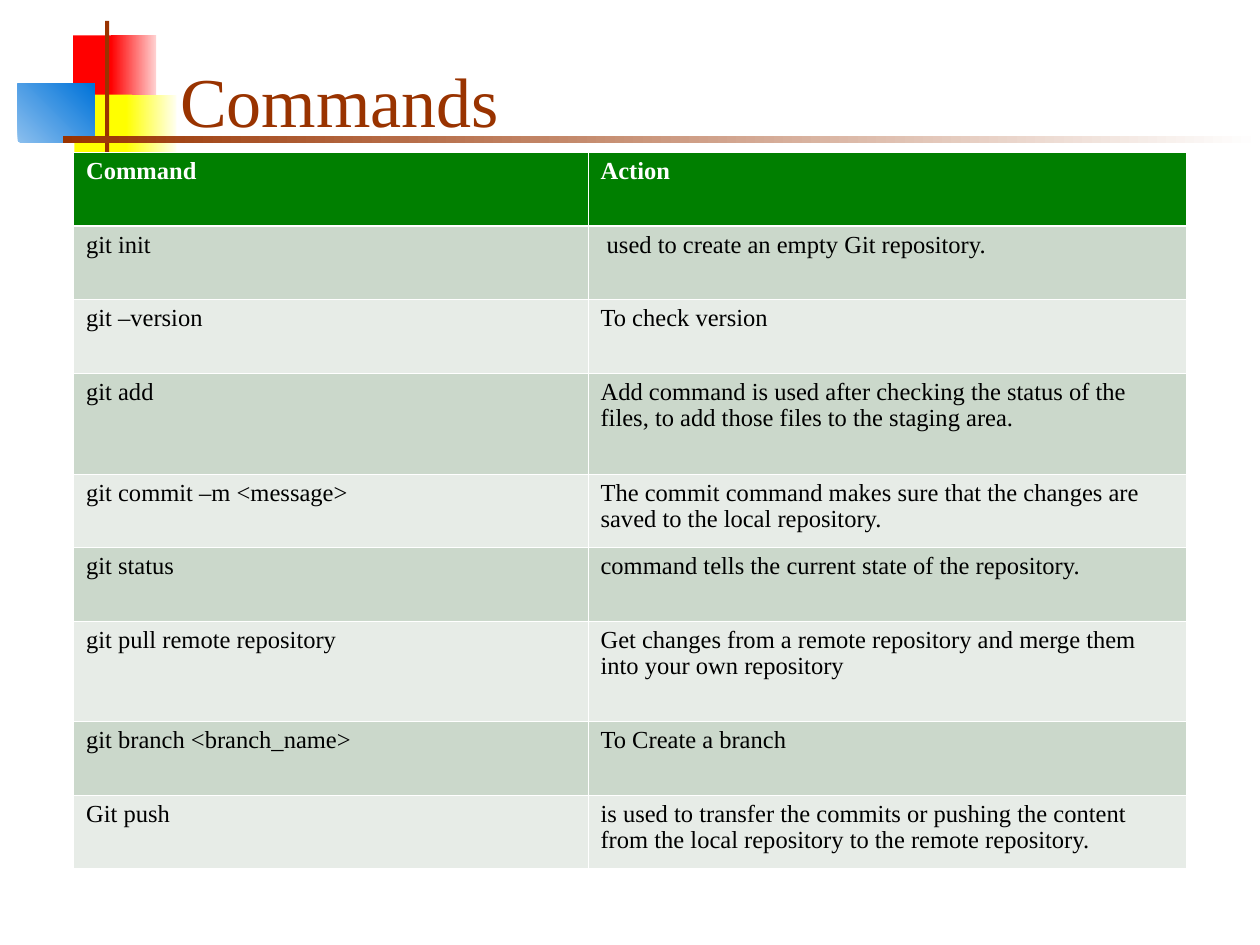
from pptx import Presentation
from pptx.util import Pt
from pptx.dml.color import RGBColor
from pptx.enum.shapes import MSO_SHAPE
from pptx.enum.text import MSO_ANCHOR
from pptx.oxml import parse_xml
from pptx.oxml.ns import nsdecls

COLORS = {
    "red": "FF0000", "pink": "FFD1D1", "yellow": "FFFF00", "cream": "FFFFF0",
    "sky": "8BBFEE", "blue": "0073D9", "brown": "993300", "white": "FFFFFF",
    "green": "007F00", "sage": "CBD8CB", "mist": "E7ECE7", "black": "000000",
}


def rgb(name):
    return RGBColor.from_string(COLORS[name])


def write(tf, text, fmt, color):
    p = tf.paragraphs[0]
    r = p.add_run()
    r.text = text
    for key, value in fmt.items():
        setattr(r.font, key, value)
    r.font.color.rgb = rgb(color)
    return p


prs = Presentation()
prs.slide_width, prs.slide_height = Pt(720), Pt(540)
s = prs.slides.add_slide(prs.slide_layouts[6])

decor = [
    (41.8, 20.2, 25.2, 37.4, ["red"], 0),
    (63.4, 20.2, 25.9, 37.4, ["red", "pink"], 0),
    (42.5, 54, 33.1, 37.4, ["yellow"], 0),
    (72, 54, 28.8, 37.4, ["yellow", "cream"], 0),
    (10.1, 48, 44, 33.4, ["sky", "blue"], 45),
    (60, 12, 2.4, 82.8, ["brown"], 0),
    (36, 77.8, 684, 3.8, ["brown", "white"], 0),
]
for x, y, w, h, names, angle in decor:
    sp = s.shapes.add_shape(MSO_SHAPE.RECTANGLE, Pt(x), Pt(y), Pt(w), Pt(h))
    sp.shadow.inherit = False
    sp.line.fill.background()
    if len(names) == 1:
        sp.fill.solid()
        sp.fill.fore_color.rgb = rgb(names[0])
    else:
        sp.fill.gradient()
        sp.fill.gradient_angle = angle
        for stop, name in zip(sp.fill.gradient_stops, names):
            stop.color.rgb = rgb(name)

title = s.shapes.add_textbox(Pt(95.8), Pt(18), Pt(613.4), Pt(66.2))
tf = title.text_frame
tf.word_wrap = True
tf.vertical_anchor = MSO_ANCHOR.BOTTOM
write(tf, "Commands", {"name": "Times New Roman", "size": Pt(40)}, "brown")

rows = [
    ("Command", "Action"),
    ("git init", "\u00a0used to create an empty Git repository."),
    ("git –version", "To check version"),
    ("git add", "Add command is used after checking the status of the files, "
                "to add those files to the staging area."),
    ("git commit –m <message>", "The commit command makes sure that the changes are "
                                "saved to the local repository."),
    ("git status", "command tells the current state of the repository."),
    ("git pull remote repository", "Get changes from a remote repository and merge them "
                                   "into your own repository"),
    ("git branch <branch_name>", "To Create a branch"),
    ("Git push", "is used to transfer the commits or pushing the content "
                 "from the local repository to the remote repository."),
]
tall_rows = (3, 6)
table = s.shapes.add_table(len(rows), 2, Pt(42), Pt(87.3), Pt(636), Pt(409)).table
for col, width in zip(table.columns, (294, 342)):
    col.width = Pt(width)

for i, texts in enumerate(rows):
    table.rows[i].height = Pt(57.6 if i in tall_rows else 42)
    fill = "green" if i == 0 else ("mist", "sage")[i % 2]
    for j, text in enumerate(texts):
        cell = table.cell(i, j)
        cell.margin_left = cell.margin_right = Pt(7.2)
        cell.margin_top = cell.margin_bottom = Pt(3.6)
        fmt = {"name": "Times New Roman", "size": Pt(14), "bold": i == 0}
        p = write(cell.text_frame, text, fmt, "white" if i == 0 else "black")
        p.line_spacing = 0.96
        tcPr = cell._tc.get_or_add_tcPr()
        for side in ("lnL", "lnR", "lnT", "lnB"):
            thick = (i, side) in ((0, "lnB"), (1, "lnT"))
            tcPr.append(parse_xml(
                f'<a:{side} {nsdecls("a")} w="{Pt(1.47 if thick else 0.45)}"><a:solidFill>'
                f'<a:srgbClr val="{COLORS["white"]}"/></a:solidFill></a:{side}>'))
        cell.fill.solid()
        cell.fill.fore_color.rgb = rgb(fill)

prs.save("out.pptx")
